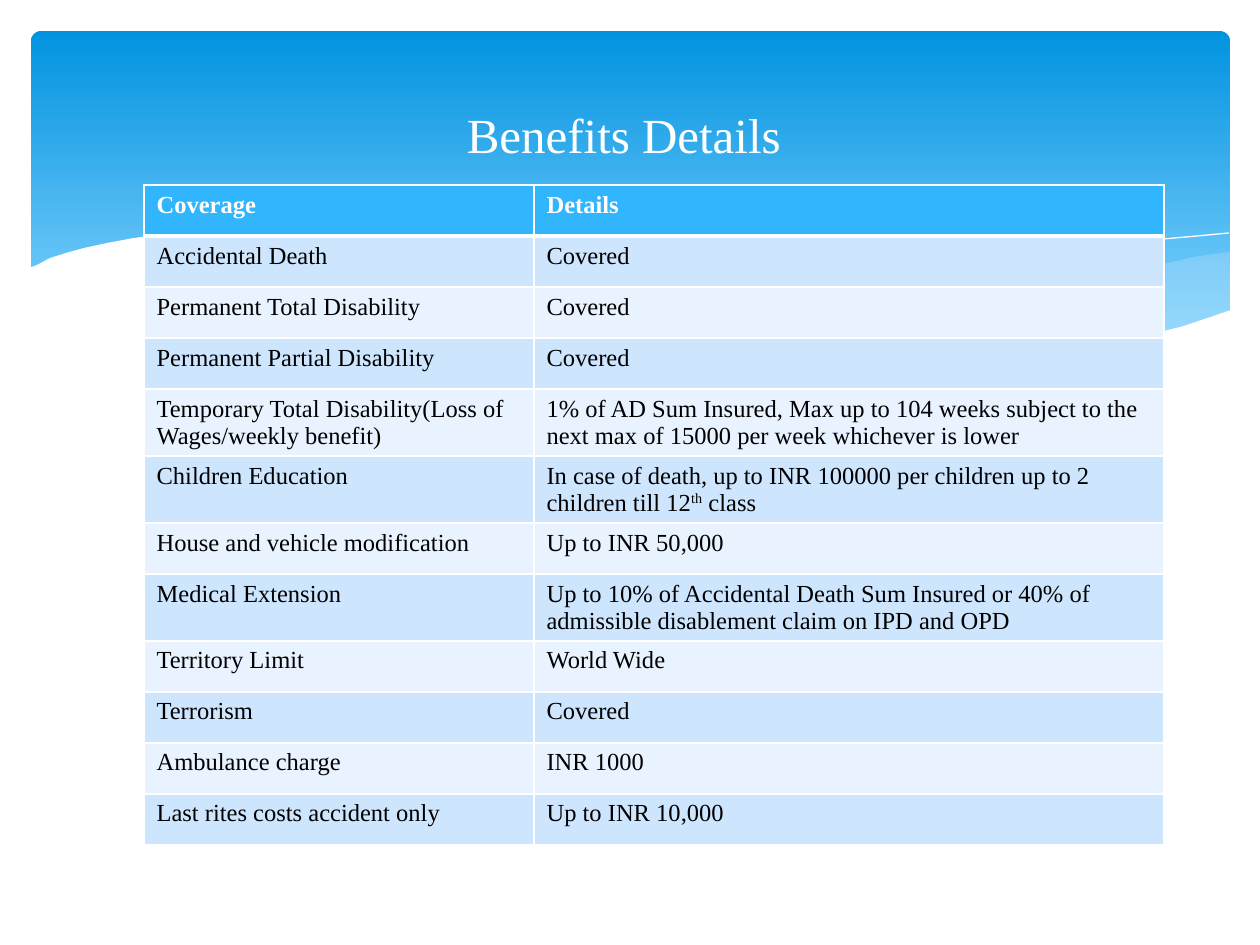
import pptx
import pptx.dml.color
import pptx.enum.shapes
import pptx.enum.text
import pptx.oxml
import pptx.oxml.ns
import pptx.util

PX = 914400 // 126
FONT = "Times New Roman"
WHITE = "FFFFFF"
ROW, TALL_ROW = 51, 67
SIDES = ("lnL", "lnR", "lnT", "lnB")

RIGHT_WAVE = [
    (1229, 252), (1194, 257), (1160, 265), (1123, 272), (1085, 281), (1014, 299),
    (949, 312), (890, 324), (833, 334), (871, 339), (906, 343), (954, 348),
    (1012, 350), (1076, 348), (1120, 343), (1160, 334), (1196, 324), (1230, 311),
    (1230, 252)]
MIDDLE_WAVE = [
    (1125, 344), (1055, 334), (977, 320), (890, 302), (793, 280), (717, 262),
    (648, 249), (586, 241), (529, 236), (479, 233), (433, 234), (394, 237),
    (360, 241), (407, 247), (456, 256), (509, 266), (566, 280), (668, 302),
    (757, 321), (838, 335), (910, 345), (974, 349), (1031, 350), (1080, 349)]
FALLING_LINE = [
    (389, 246), (422, 241), (457, 238), (505, 236), (567, 237), (643, 242),
    (733, 252), (838, 268), (916, 285), (1002, 304), (1095, 329), (1143, 343)]
RISING_LINE = [
    (772, 324), (847, 304), (907, 289), (978, 272), (1053, 257), (1110, 247),
    (1164, 239), (1198, 236), (1229, 233)]
WHITE_WAVE = [
    (1231, 310), (1184, 326), (1133, 339), (1071, 347), (1019, 349), (937, 345),
    (867, 338), (789, 325), (699, 309), (599, 286), (527, 268), (460, 255),
    (398, 244), (341, 237), (290, 233), (243, 232), (203, 232), (166, 234),
    (134, 238), (107, 243), (84, 248), (66, 253), (50, 258), (37, 265),
    (29, 268), (29, 415), (1231, 415)]

BENEFITS = [
    ("Coverage", "Details", ROW),
    ("Accidental Death", "Covered", ROW),
    ("Permanent Total Disability", "Covered", ROW),
    ("Permanent Partial Disability", "Covered", ROW),
    ("Temporary Total Disability(Loss of Wages/weekly benefit)",
     "1% of AD Sum Insured, Max up to 104 weeks subject to the next max of 15000 "
     "per week whichever is lower", TALL_ROW),
    ("Children Education",
     "In case of death, up to INR 100000 per children up to 2 children till 12^th^ class",
     TALL_ROW),
    ("House and vehicle modification", "Up to INR 50,000", ROW),
    ("Medical Extension",
     "Up to 10% of Accidental Death Sum Insured or 40% of admissible disablement "
     "claim on IPD and OPD", TALL_ROW),
    ("Territory Limit", "World Wide", ROW),
    ("Terrorism", "Covered", ROW),
    ("Ambulance charge", "INR 1000", ROW),
    ("Last rites costs accident only", "Up to INR 10,000", ROW)]


def px(*lengths):
    """Turn pixel lengths into EMU."""
    return [length * PX for length in lengths]


def color(value):
    """Make a colour from a hex string."""
    return pptx.dml.color.RGBColor.from_string(value)


def set_font(paragraph, size, value, bold=False):
    """Set the font of a whole paragraph."""
    font = paragraph.font
    font.name, font.size, font.bold = FONT, pptx.util.Pt(size), bold
    font.color.rgb = color(value)


def add_banner(page):
    """Draw the rounded gradient panel."""
    panel = page.shapes.add_shape(
        pptx.enum.shapes.MSO_SHAPE.ROUNDED_RECTANGLE, *px(31, 31, 1199, 340))
    panel.adjustments[0] = 0.03
    panel.shadow.inherit = False
    panel.line.fill.background()
    panel.fill.gradient()
    panel.fill.gradient_angle = 270
    stops = panel.fill.gradient_stops
    for stop, position, value in zip(stops, (0, 0.9), ("0293E0", "83D3FE")):
        stop.position = position
        stop.color.rgb = color(value)


def add_outline(page, points, closed):
    """Build a freeform through the given pixel points."""
    builder = page.shapes.build_freeform(*points[0], scale=PX)
    builder.add_line_segments(points[1:], close=closed)
    outline = builder.convert_to_shape()
    outline.shadow.inherit = False
    return outline


def add_wave(page, points, value, opacity=100):
    """Draw a filled wave."""
    wave = add_outline(page, points, True)
    wave.line.fill.background()
    wave.fill.solid()
    wave.fill.fore_color.rgb = color(value)
    if opacity < 100:
        tint = wave.fill._xPr.find(".//" + pptx.oxml.ns.qn("a:srgbClr"))
        alpha = pptx.oxml.parse_xml(
            f'<a:alpha {pptx.oxml.ns.nsdecls("a")} val="{opacity * 1000}"/>')
        tint.append(alpha)


def add_curve(page, points):
    """Draw a white hairline curve."""
    curve = add_outline(page, points, False)
    curve.fill.background()
    curve.line.color.rgb = color(WHITE)
    curve.line.width = pptx.util.Pt(0)


def set_borders(cell, widths):
    """Give a cell white borders, widths in points by side."""
    properties = cell._tc.get_or_add_tcPr()
    for index, (side, width) in enumerate(zip(SIDES, widths)):
        border = pptx.oxml.parse_xml(
            f'<a:{side} {pptx.oxml.ns.nsdecls("a")} w="{pptx.util.Pt(width)}">'
            f'<a:solidFill><a:srgbClr val="{WHITE}"/></a:solidFill></a:{side}>')
        properties.insert(index, border)


def fill_cell(cell, text, row):
    """Write, colour and border one cell; carets enclose superscript."""
    header = row == 0
    paragraph = cell.text_frame.paragraphs[0]
    for index, part in enumerate(text.split("^")):
        span = paragraph.add_run()
        span.text = part
        if index % 2:
            span._r.get_or_add_rPr().set("baseline", "30000")
    set_font(paragraph, 14, WHITE if header else "000000", header)
    cell.fill.solid()
    band = "CEE5FE" if row % 2 else "E8F3FF"
    cell.fill.fore_color.rgb = color("31B6FD" if header else band)
    set_borders(cell, (1, 1, 3 if row == 1 else 1, 3 if header else 1))


def add_benefits(page):
    """Add the table of coverage and details."""
    height = sum(row[2] for row in BENEFITS)
    frame = page.shapes.add_table(len(BENEFITS), 2, *px(144, 185, 1020, height))
    table = frame.table
    for column, width in zip(table.columns, px(390, 630)):
        column.width = width
    for row, (coverage, details, row_height) in enumerate(BENEFITS):
        table.rows[row].height = row_height * PX
        for column, text in enumerate((coverage, details)):
            fill_cell(table.cell(row, column), text, row)


def add_title(page, text):
    """Add the centred title."""
    box = page.shapes.add_textbox(*px(63, 47, 1134, 173))
    frame = box.text_frame
    frame.word_wrap = True
    frame.vertical_anchor = pptx.enum.text.MSO_ANCHOR.MIDDLE
    paragraph = frame.paragraphs[0]
    paragraph.text = text
    paragraph.alignment = pptx.enum.text.PP_ALIGN.CENTER
    set_font(paragraph, 28, WHITE)


def main():
    """Build and save the slide."""
    deck = pptx.Presentation()
    deck.slide_width, deck.slide_height = px(1260, 945)
    page = deck.slides.add_slide(deck.slide_layouts[6])
    add_banner(page)
    add_wave(page, RIGHT_WAVE, "C6E7FC", 29)
    add_wave(page, MIDDLE_WAVE, "C6E7FC", 40)
    add_curve(page, FALLING_LINE)
    add_curve(page, RISING_LINE)
    add_wave(page, WHITE_WAVE, WHITE)
    add_benefits(page)
    add_title(page, "Benefits Details ")
    deck.save("out.pptx")


if __name__ == "__main__":
    main()
